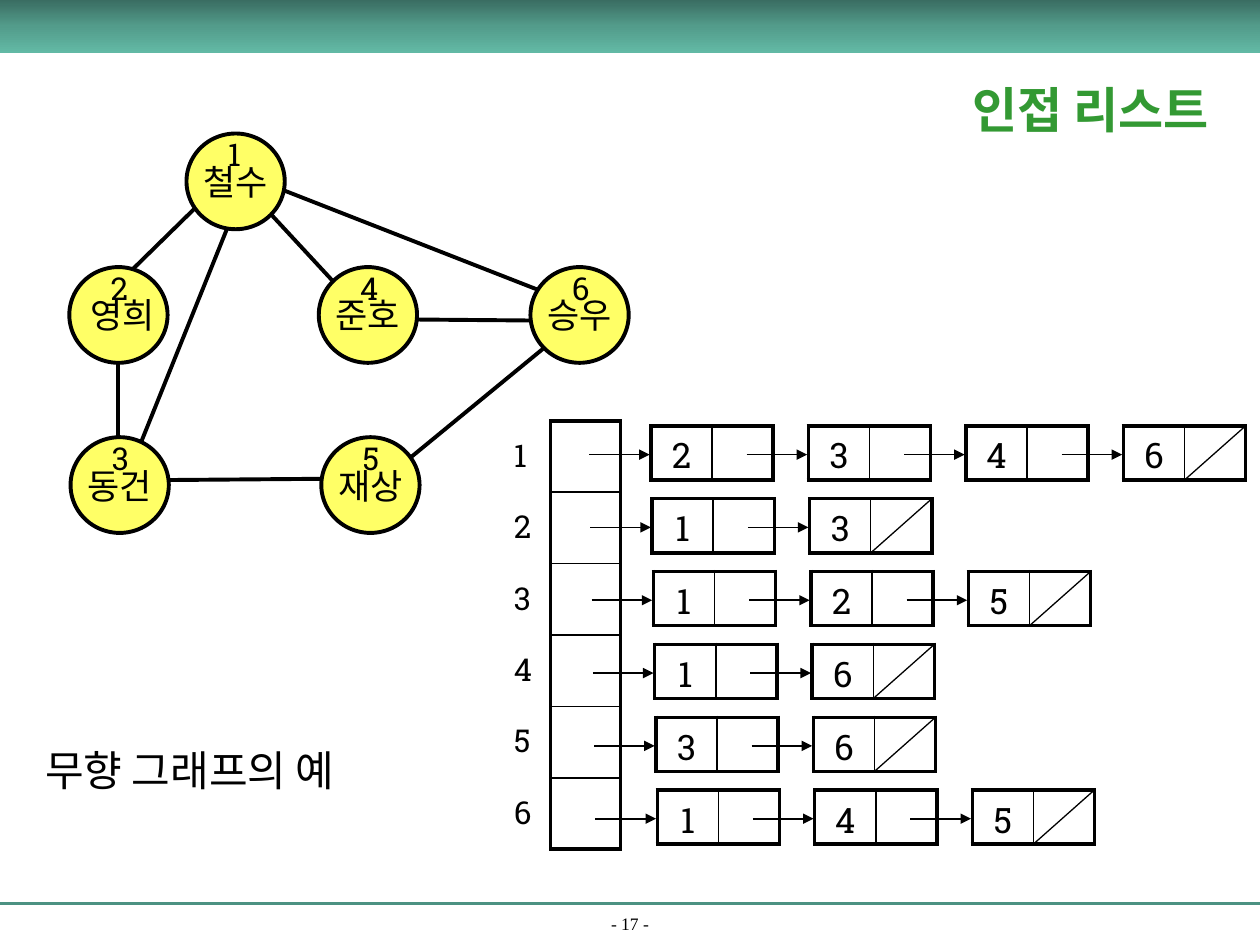
from copy import deepcopy
from pptx import Presentation
from pptx.dml.color import RGBColor
from pptx.enum.shapes import MSO_CONNECTOR, MSO_SHAPE
from pptx.enum.text import MSO_ANCHOR, PP_ALIGN
from pptx.oxml.ns import qn
from pptx.oxml.xmlchemy import OxmlElement
from pptx.util import Inches, Pt

LEFT, CENTER = PP_ALIGN.LEFT, PP_ALIGN.CENTER
TOP, MIDDLE, BOTTOM = MSO_ANCHOR.TOP, MSO_ANCHOR.MIDDLE, MSO_ANCHOR.BOTTOM
STRAIGHT = MSO_CONNECTOR.STRAIGHT
BLACK = RGBColor(0x00, 0x00, 0x00)
YELLOW = RGBColor(0xFF, 0xFF, 0x66)
GREEN = RGBColor(0x33, 0x99, 0x33)
TEAL = RGBColor(0x4C, 0x92, 0x82)
BAND = [(0, RGBColor(0x3A, 0x6D, 0x62)), (50, RGBColor(0x53, 0x9C, 0x8B)),
        (100, RGBColor(0x62, 0xB9, 0xA5))]
KOREAN, SLAB, SERIF, SANS = "Noto Sans CJK KR", "Roboto Slab", "Times New Roman", "Arial"
THICK, THIN, HAIR = 2.25, 1, 0.75

# Vertices: name, then left and top in percent of the graph's box
VERTICES = [("철수", 19.6, 1.5), (" 영희", 1, 28), ("동건", 1.2, 61.75),
            ("준호", 40.6, 28), ("재상", 41, 61.75), ("승우", 74.2, 28)]
VERTEX_SIZE = (15.6, 19)
# Edges: x and y of both ends, in percent of the graph's box
EDGES = [(11, 28.5, 20.8, 16.5), (35, 12.75, 75.4, 32.5), (33, 17.5, 43, 31),
         (16.6, 70.25, 41, 70), (56.2, 38.4, 74.2, 38.6), (55.2, 65.75, 76.4, 44),
         (8.8, 47.25, 8.8, 61.75), (26, 20.5, 12.4, 62.75)]
NEIGHBOURS = [(2, 3, 4, 6), (1, 3), (1, 2, 5), (1, 6), (3, 6), (1, 4, 5)]


def write(frame, text, font, size, color=BLACK, bold=False, align=LEFT):
    para = frame.paragraphs[0]
    para.alignment = align
    span = para.add_run()
    span.text = text
    look = {"name": font, "size": Pt(size), "bold": bold}
    for key, value in look.items():
        setattr(span.font, key, value)
    span.font.color.rgb = color
    east_asian = OxmlElement("a:ea")
    east_asian.set("typeface", KOREAN)
    span.font._element.append(east_asian)


def add_text(page, box, text, font, size, anchor=TOP, wrap=False, **look):
    frame = page.shapes.add_textbox(*map(Inches, box)).text_frame
    frame.word_wrap = wrap
    frame.vertical_anchor = anchor
    write(frame, text, font, size, **look)


def add_line(page, start, end, width, color=BLACK, arrow=False):
    line = page.shapes.add_connector(STRAIGHT, *map(Inches, (*start, *end)))
    line.line.color.rgb = color
    line.line.width = Pt(width)
    if arrow:
        head = OxmlElement("a:tailEnd")
        head.set("type", "triangle")
        line.line._get_or_add_ln().append(head)
    line._element.spPr.append(OxmlElement("a:effectLst"))


def set_borders(cell, widths):
    """Draw borders in the order left, right, top, bottom."""
    cell.fill.background()
    props = cell._tc.get_or_add_tcPr()
    for place, (side, width) in enumerate(zip("LRTB", widths)):
        border = OxmlElement(f"a:ln{side}")
        border.set("w", str(Pt(width)))
        fill = OxmlElement("a:solidFill")
        color = OxmlElement("a:srgbClr")
        color.set("val", str(BLACK))
        fill.append(color)
        border.append(fill)
        props.insert(place, border)


def add_grid(page, box, rows, columns):
    table = page.shapes.add_table(rows, columns, *map(Inches, box)).table
    table.first_row = table.horz_banding = False
    for r in range(rows):
        for c in range(columns):
            cell = table.cell(r, c)
            cell.margin_top, cell.margin_bottom = Inches(0.05), Inches(0.01)
            set_borders(cell, [THICK if c == 0 else THIN,
                               THICK if c == columns - 1 else THIN,
                               THICK if r == 0 else THIN,
                               THICK if r == rows - 1 else THIN])
    return table


def add_header(page, box):
    band = page.shapes.add_shape(MSO_SHAPE.RECTANGLE, *map(Inches, box))
    band.shadow.inherit = False
    band.line.fill.background()
    band.fill.gradient()
    band.fill.gradient_angle = 270
    stops = band._element.spPr.find(".//" + qn("a:gsLst"))
    stops.insert(1, deepcopy(stops[0]))
    for stop, (position, color) in zip(band.fill.gradient_stops, BAND):
        stop.position = position / 100
        stop.color.rgb = color


def add_footer(page, box):
    left, top, width, height = box
    add_line(page, (left, top), (left + width, top), 1.5, TEAL)
    add_text(page, (left, top + 0.07, width, height - 0.07), "- 17 -", SERIF, 10,
             anchor=BOTTOM, wrap=True, align=CENTER)


def add_graph(page, box):
    left, top, width, height = box

    def point(x, y):
        return left + width * x / 100, top + height * y / 100

    for x1, y1, x2, y2 in EDGES:
        add_line(page, point(x1, y1), point(x2, y2), THICK)
    size = (width * VERTEX_SIZE[0] / 100, height * VERTEX_SIZE[1] / 100)
    for number, (name, x, y) in enumerate(VERTICES, 1):
        vertex = page.shapes.add_shape(MSO_SHAPE.OVAL, *map(Inches, (*point(x, y), *size)))
        vertex.shadow.inherit = False
        vertex.fill.solid()
        vertex.fill.fore_color.rgb = YELLOW
        vertex.line.color.rgb = BLACK
        vertex.line.width = Pt(THICK)
        vertex.text_frame.word_wrap = False
        vertex.text_frame.vertical_anchor = MIDDLE
        write(vertex.text_frame, name, KOREAN, 20, align=CENTER)
        add_text(page, (*point(x + 4.6, y - 0.9), 0.33, 0.4), str(number), SLAB, 18)


def add_chain(page, box, neighbours):
    """Draw one linked list; the box holds its first node."""
    left, top, width, height = box
    for step, neighbour in enumerate(neighbours):
        x = left + 1.25 * step
        table = add_grid(page, (x, top, width, height), 1, 2)
        cell = table.cell(0, 0)
        write(cell.text_frame, str(neighbour), SLAB, 20, align=CENTER)
        y = top + height * 0.53
        add_line(page, (x - 0.49, y), (x - 0.01, y), THIN, arrow=True)
    # The last node's empty link
    add_line(page, (x + width, top), (x + width * 0.5, top + height), HAIR)


def add_adjacency_list(page, box):
    left, top, width, height = box
    add_grid(page, (left + width * 0.066, top, width * 0.093, height),
             len(NEIGHBOURS), 1)
    pitch = height * 0.17
    for row, neighbours in enumerate(NEIGHBOURS):
        add_text(page, (left, top + 0.07 + row * pitch * 0.98, 0.33, 0.4),
                 str(row + 1), SLAB, 18)
        add_chain(page, (left + width * 0.2 + row * 0.01, top + 0.04 + row * pitch,
                         0.97, 0.43), neighbours)


def main():
    deck = Presentation()
    deck.slide_width, deck.slide_height = Inches(10), Inches(7.5)
    page = deck.slides.add_slide(deck.slide_layouts[6])
    add_header(page, (0, 0, 10, 0.42))
    add_footer(page, (0, 7.17, 10, 0.29))
    add_graph(page, (0.5, 1, 5, 4))
    add_adjacency_list(page, (3.98, 3.34, 5.93, 3.4))
    # Title and caption
    add_text(page, (7.31, 0.42, 2.69, 0.89), "인접 리스트", SERIF, 28, anchor=MIDDLE,
             wrap=True, color=GREEN, bold=True, align=CENTER)
    add_text(page, (0.26, 5.86, 2.72, 0.5), "무향 그래프의 예", SANS, 24)
    deck.save("out.pptx")


if __name__ == "__main__":
    main()
